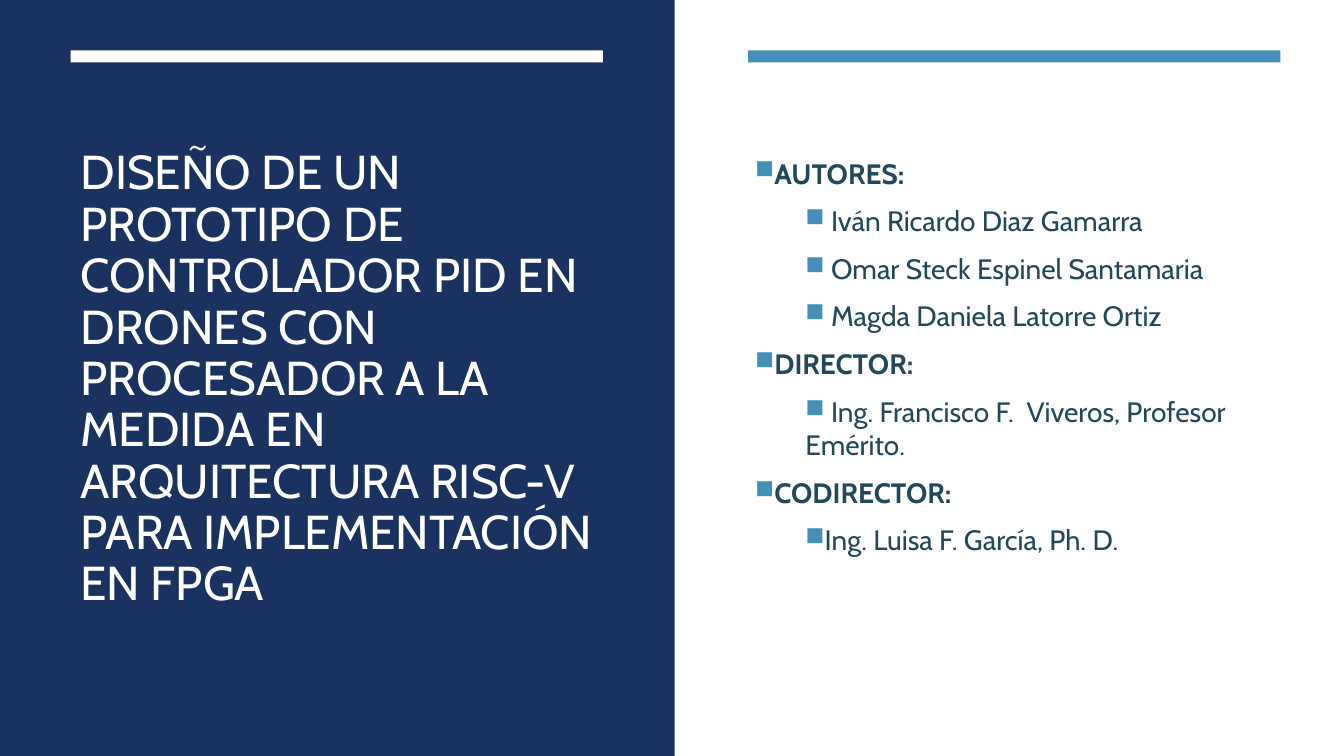
import pptx
import pptx.util
import pptx.dml.color
import pptx.enum.shapes
import pptx.enum.text
import lxml.etree
import pptx.oxml.ns

Inches = pptx.util.Inches
Pt = pptx.util.Pt
RGBColor = pptx.dml.color.RGBColor

WHITE = RGBColor(0xFF, 0xFF, 0xFF)
NAVY = RGBColor(0x1A, 0x32, 0x60)
BLUE = RGBColor(0x45, 0x90, 0xB8)
TEAL = RGBColor(0x23, 0x48, 0x5C)
FONT = "Cabin"

W, H = 13.33, 7.5
COL_W = 5.28
LEFT, RIGHT = 0.7, 7.42
BAR_Y, BAR_H = 0.5, 0.12
TEXT_Y, TEXT_H = 1.13, 5.28

prs = pptx.Presentation()
prs.slide_width, prs.slide_height = Inches(W), Inches(H)
s = prs.slides.add_slide(prs.slide_layouts[6])


def add_text(x, w):
    tf = s.shapes.add_textbox(Inches(x), Inches(TEXT_Y), Inches(w), Inches(TEXT_H)).text_frame
    tf.word_wrap = True
    tf.vertical_anchor = pptx.enum.text.MSO_ANCHOR.MIDDLE
    return tf


def style(p, size, color, bold=False):
    for r in p.runs:
        r.font.name = FONT
        r.font.size = Pt(size)
        r.font.bold = bold
        r.font.color.rgb = color


for x, y, w, h, color in [
    (0, 0, W, H, WHITE),
    (0, 0, 6.69, H, NAVY),
    (LEFT, BAR_Y, COL_W, BAR_H, WHITE),
    (RIGHT, BAR_Y, COL_W, BAR_H, BLUE),
]:
    sp = s.shapes.add_shape(
        pptx.enum.shapes.MSO_SHAPE.RECTANGLE, Inches(x), Inches(y), Inches(w), Inches(h)
    )
    sp.shadow.inherit = False
    sp.fill.solid()
    sp.fill.fore_color.rgb = color
    sp.line.fill.background()

tf = add_text(LEFT, COL_W)
p = tf.paragraphs[0]
p.text = (
    "DISEÑO DE UN PROTOTIPO DE CONTROLADOR PID EN DRONES CON PROCESADOR "
    "A LA MEDIDA EN ARQUITECTURA RISC-V PARA IMPLEMENTACIÓN EN FPGA"
)
p.line_spacing = 0.9
style(p, 34, WHITE)

credits = [
    (0, "AUTORES:"),
    (1, " Iván Ricardo Diaz Gamarra"),
    (1, " Omar Steck Espinel Santamaria"),
    (1, " Magda Daniela Latorre Ortiz"),
    (0, "DIRECTOR:"),
    (1, " Ing. Francisco F.  Viveros, Profesor Emérito."),
    (0, "CODIRECTOR:"),
    (1, "Ing. Luisa F. García, Ph. D."),
]
tf = add_text(7.39, 5.31)
tf.margin_bottom = Inches(0.52)
tf.text = "\n".join(text for level, text in credits)
for p, (level, text) in zip(tf.paragraphs, credits):
    p.level = level
    p.space_before, p.space_after = Pt(4), Pt(6)
    style(p, 20, TEAL, bold=level == 0)
    pPr = p._p.get_or_add_pPr()
    pPr.set("marL", str(Inches(0.5 * level)))
    pPr.set("indent", "0")
    qn = pptx.oxml.ns.qn
    buClr = lxml.etree.SubElement(pPr, qn("a:buClr"))
    lxml.etree.SubElement(buClr, qn("a:srgbClr"), val=str(BLUE))
    lxml.etree.SubElement(pPr, qn("a:buSzPct"), val="92000")
    lxml.etree.SubElement(pPr, qn("a:buChar"), char="■")

prs.save("out.pptx")
